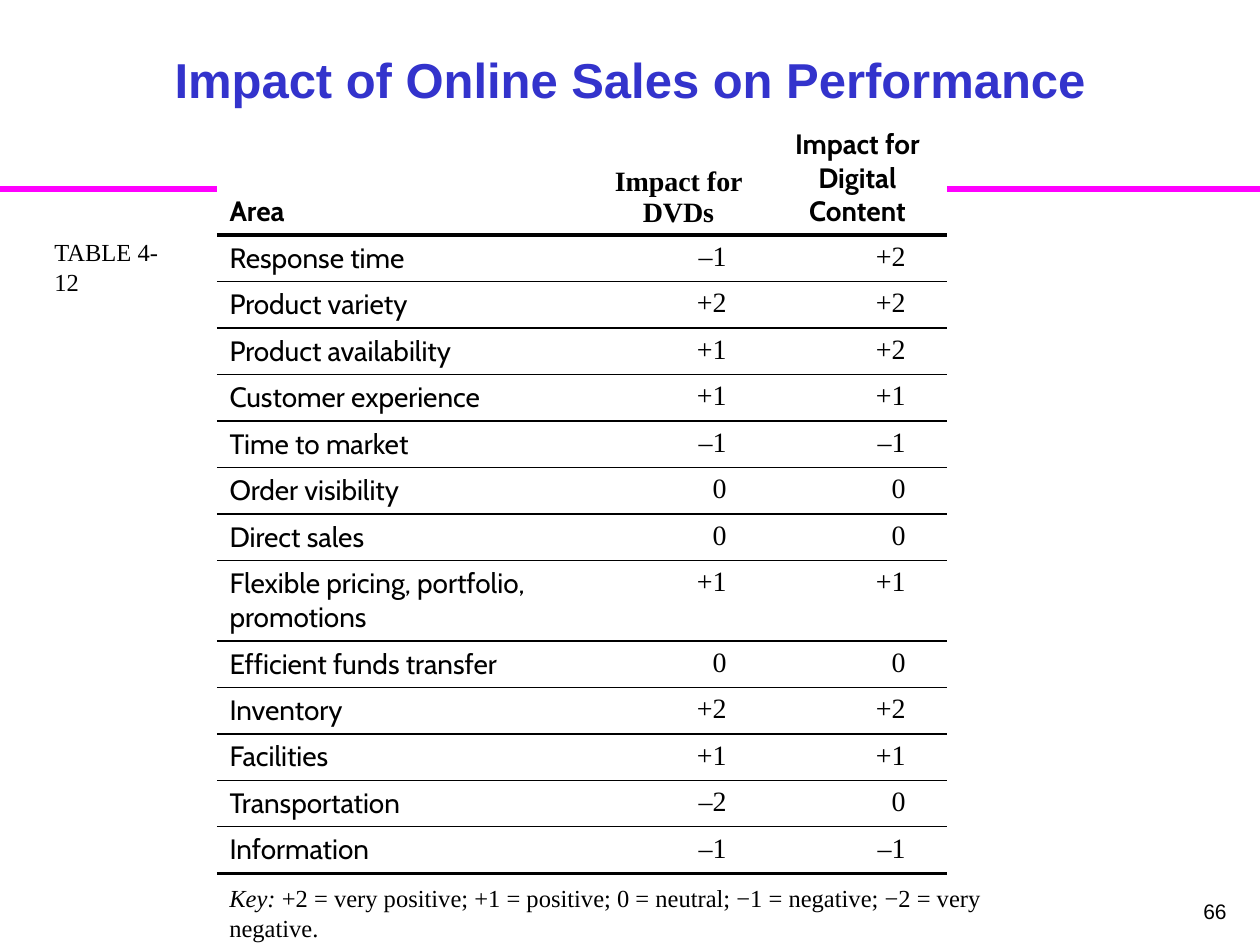
import dataclasses

import lxml.etree
import pptx
import pptx.dml.color
import pptx.enum.shapes
import pptx.enum.text
import pptx.oxml.ns
import pptx.util

ALIGN = pptx.enum.text.PP_ALIGN
ANCHOR = pptx.enum.text.MSO_ANCHOR
EMU_PER_PX = 914400 / 126


@dataclasses.dataclass(frozen=True)
class Theme:
    title_color: str = "3333CC"
    rule_color: str = "FF00FF"
    text_color: str = "000000"
    paper_color: str = "FFFFFF"
    heading_font: str = "Arial"
    label_font: str = "Cabin"
    body_font: str = "Times New Roman"
    title_size: int = 28
    table_size: int = 16
    note_size: int = 14
    number_size: int = 12
    rule_width: int = 4
    thin_border: float = 1
    thick_border: float = 2.25


THEME = Theme()
HEADINGS = ["Area", "Impact for DVDs", "Impact for Digital Content"]
IMPACTS = [
    ("Response time", "–1", "+2"),
    ("Product variety", "+2", "+2"),
    ("Product availability", "+1", "+2"),
    ("Customer experience", "+1", "+1"),
    ("Time to market", "–1", "–1"),
    ("Order visibility", "0", "0"),
    ("Direct sales", "0", "0"),
    ("Flexible pricing, portfolio, promotions", "+1", "+1"),
    ("Efficient funds transfer", "0", "0"),
    ("Inventory", "+2", "+2"),
    ("Facilities", "+1", "+1"),
    ("Transportation", "–2", "0"),
    ("Information", "–1", "–1"),
]


def px(length):
    return pptx.util.Emu(round(length * EMU_PER_PX))


def rgb(color):
    return pptx.dml.color.RGBColor.from_string(color)


def add_child(parent, tag, **attributes):
    return lxml.etree.SubElement(parent, pptx.oxml.ns.qn(tag), attributes)


def write_text(paragraph, text, font=THEME.body_font, size=THEME.note_size,
               color=THEME.text_color, bold=False, italic=False, align=ALIGN.LEFT):
    paragraph.alignment = align
    run = paragraph.add_run()
    run.text = text
    run.font.name = font
    run.font.size = pptx.util.Pt(size)
    run.font.color.rgb = rgb(color)
    run.font.bold = bold
    run.font.italic = italic


def add_text_box(slide, left, top, width, height):
    frame = slide.shapes.add_textbox(px(left), px(top), px(width), px(height)).text_frame
    frame.word_wrap = True
    return frame.paragraphs[0]


def add_rule(slide, left, top, width):
    rule = slide.shapes.add_connector(
        pptx.enum.shapes.MSO_CONNECTOR.STRAIGHT,
        px(left), px(top), px(left + width), px(top))
    rule.line.color.rgb = rgb(THEME.rule_color)
    rule.line.width = pptx.util.Pt(THEME.rule_width)
    add_child(rule._element.spPr, "a:effectLst")


def place_title(slide, left, top, width, height):
    title = slide.shapes.title
    title.left, title.top, title.width, title.height = map(px, (left, top, width, height))
    title.text_frame.vertical_anchor = ANCHOR.BOTTOM
    write_text(title.text_frame.paragraphs[0], "Impact of Online Sales on Performance",
               font=THEME.heading_font, size=THEME.title_size,
               color=THEME.title_color, bold=True, align=ALIGN.CENTER)


def set_borders(cell, top, bottom):
    properties = cell._tc.get_or_add_tcPr()
    for side, width in (("L", 0), ("R", 0), ("T", top), ("B", bottom)):
        border = add_child(properties, f"a:ln{side}", w=str(pptx.util.Pt(width)))
        if width:
            fill = add_child(border, "a:solidFill")
            add_child(fill, "a:srgbClr", val=THEME.text_color)
        else:
            add_child(border, "a:noFill")


def add_right_tab(paragraph, position):
    tabs = add_child(paragraph._p.get_or_add_pPr(), "a:tabLst")
    add_child(tabs, "a:tab", pos=str(px(position)), algn="r")


def add_impact_table(slide, left, top, width, height):
    rows = [HEADINGS, *IMPACTS]
    last = len(rows) - 1
    table = slide.shapes.add_table(len(rows), len(HEADINGS),
                                   px(left), px(top), px(width), px(height)).table
    table.first_row = False
    table.horz_banding = False
    value_width = 179
    for column, column_width in zip(
            table.columns, (width - 2 * value_width, value_width, value_width)):
        column.width = px(column_width)
    tall_rows = {0: 112, 8: 79}
    row_height = (height - sum(tall_rows.values())) // (len(rows) - len(tall_rows))
    edges = {0: 0, 1: THEME.thick_border, len(rows): THEME.thick_border}
    for row_index, values in enumerate(rows):
        table.rows[row_index].height = px(tall_rows.get(row_index, row_height))
        header = row_index == 0
        for column_index, value in enumerate(values):
            cell = table.cell(row_index, column_index)
            set_borders(cell, edges.get(row_index, THEME.thin_border),
                        edges.get(row_index + 1, THEME.thin_border))
            cell.fill.solid()
            cell.fill.fore_color.rgb = rgb(THEME.paper_color)
            cell.vertical_anchor = ANCHOR.BOTTOM if header else ANCHOR.TOP
            paragraph = cell.text_frame.paragraphs[0]
            is_value = column_index > 0 and not header
            if is_value:
                add_right_tab(paragraph, 125)
            uses_label_font = column_index == 0 or (header and column_index == 2)
            write_text(paragraph, f"\t{value}" if is_value else value,
                       font=THEME.label_font if uses_label_font else THEME.body_font,
                       size=THEME.table_size, bold=header,
                       align=ALIGN.CENTER if header and column_index else ALIGN.LEFT)


def add_table_label(slide, left, top, width, height):
    write_text(add_text_box(slide, left, top, width, height), "TABLE 4-12")


def add_key(slide, left, top, width, height):
    paragraph = add_text_box(slide, left, top, width, height)
    write_text(paragraph, "Key: ", italic=True)
    write_text(paragraph, "+2 = very positive; +1 = positive; 0 = neutral; "
                          "−1 = negative; −2 = very negative.")


def add_page_number(slide, left, top, width, height):
    write_text(add_text_box(slide, left, top, width, height), "66",
               font=THEME.heading_font, size=THEME.number_size, align=ALIGN.RIGHT)


def main():
    presentation = pptx.Presentation()
    presentation.slide_width, presentation.slide_height = px(1260), px(945)
    slide = presentation.slides.add_slide(presentation.slide_layouts[5])
    add_rule(slide, 0, 189, 1260)
    place_title(slide, 63, 38, 1134, 77)
    add_impact_table(slide, 217, 121, 730, 743)
    add_table_label(slide, 42, 231, 141, 43)
    add_key(slide, 217, 877, 859, 43)
    add_page_number(slide, 977, 892, 262, 53)
    presentation.save("out.pptx")


if __name__ == "__main__":
    main()
